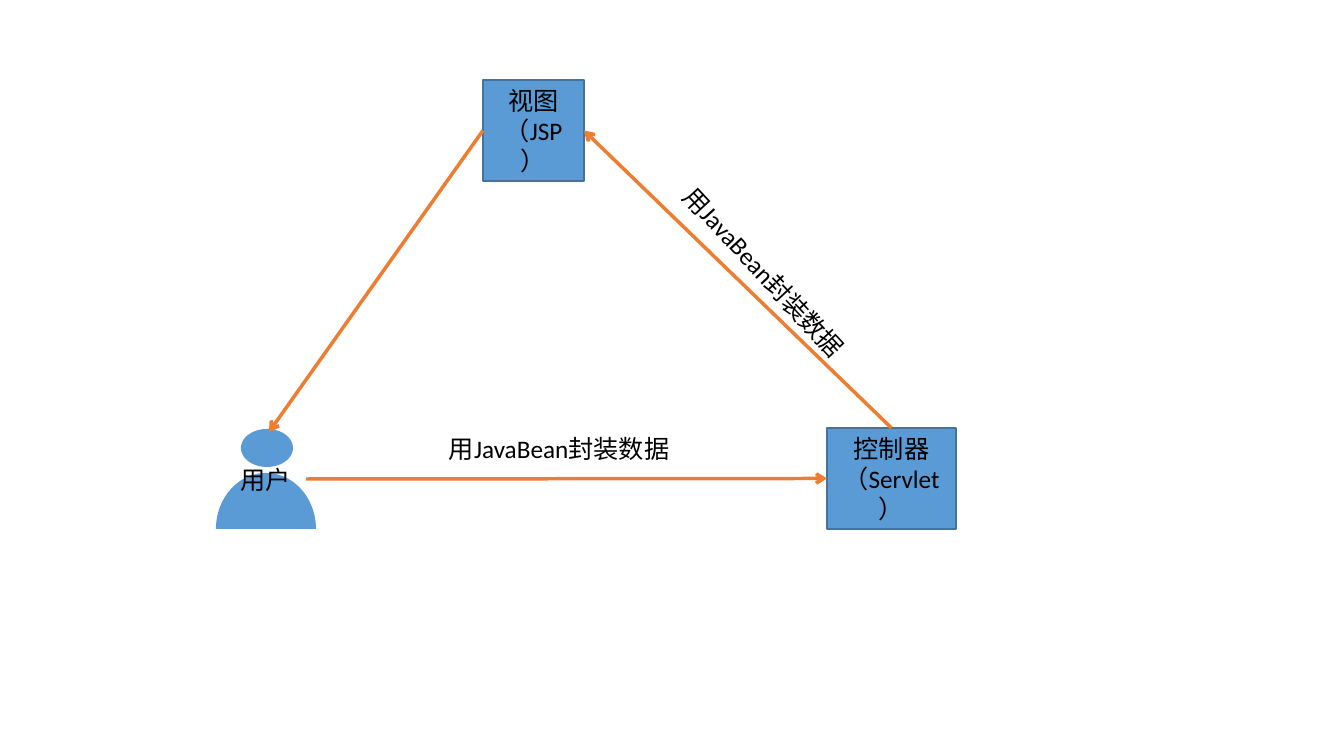
from math import cos, pi, sin

from lxml import etree
from pptx import Presentation
from pptx import util as u
from pptx.dml.color import RGBColor
from pptx.enum import shapes, text
from pptx.oxml.ns import qn

SLIDE = (1344, 756)
EMU_PER_PX = 914400 / 100.8
BLUE, BORDER, ORANGE, BLACK = "5B9BD5", "43739E", "ED7D31", "000000"
FONT = {"name": "Calibri", "size": u.Pt(18)}

USER = "用户"
BODY = {"centre": (266, 529), "radii": (50, 56), "sweep": (pi, 2 * pi)}
HEAD = {"centre": (267, 448), "radii": (26, 19), "sweep": (0, 2 * pi)}
BOXES = {
    "view": ("视图（JSP）", (483, 80, 101, 101)),
    "controller": ("控制器（Servlet）", (827, 428, 129, 101)),
}
LABELS = [
    ("用JavaBean封装数据", (439, 428, 254, 40), 0),
    ("用JavaBean封装数据", (642, 257, 254, 40), 47),
]
TOP, LEFT, RIGHT = 0, 1, 3
ARROWS = [
    ((306, 479), ("controller", LEFT)),
    (("controller", TOP), ("view", RIGHT)),
    (("view", LEFT), (269, 432)),
]


def px(*values):
    return [u.Emu(round(v * EMU_PER_PX)) for v in values]


def rgb(value):
    return RGBColor.from_string(value)


def write(sp, words, align=None):
    tf = sp.text_frame
    tf.word_wrap = True
    p = tf.paragraphs[0]
    p.alignment = align
    r = p.add_run()
    r.text = words
    for key, value in FONT.items():
        setattr(r.font, key, value)
    r.font.color.rgb = rgb(BLACK)


def paint(sp, words, border=None):
    sp.shadow.inherit = False
    sp.fill.solid()
    sp.fill.fore_color.rgb = rgb(BLUE)
    if border:
        sp.line.color.rgb = rgb(border)
        sp.line.width = u.Pt(1)
    else:
        sp.line.fill.background()
    sp.text_frame.vertical_anchor = text.MSO_ANCHOR.MIDDLE
    write(sp, words, text.PP_ALIGN.CENTER)


def arc(centre, radii, sweep, steps=72):
    (cx, cy), (rx, ry), (start, end) = centre, radii, sweep
    angles = [start + (end - start) * i / steps for i in range(steps + 1)]
    return [px(cx + rx * cos(a), cy + ry * sin(a)) for a in angles]


def add_user(s):
    body, head = arc(**BODY), arc(**HEAD)
    outline = s.shapes.build_freeform(*body[0])
    outline.add_line_segments(body[1:])
    outline.move_to(*head[0])
    outline.add_line_segments(head[1:])
    paint(outline.convert_to_shape(), USER)


def add_arrow(s, start, end, boxes):
    c = s.shapes.add_connector(shapes.MSO_CONNECTOR.STRAIGHT, 0, 0, 0, 0)
    if start[0] in boxes:
        c.begin_connect(boxes[start[0]], start[1])
    else:
        c.begin_x, c.begin_y = px(*start)
    if end[0] in boxes:
        c.end_connect(boxes[end[0]], end[1])
    else:
        c.end_x, c.end_y = px(*end)
    c.line.color.rgb = rgb(ORANGE)
    c.line.width = u.Pt(2.5)
    etree.SubElement(c.line._get_or_add_ln(), qn("a:tailEnd"), type="arrow")
    etree.SubElement(c._element.spPr, qn("a:effectLst"))


def main():
    prs = Presentation()
    prs.slide_width, prs.slide_height = px(*SLIDE)
    s = prs.slides.add_slide(prs.slide_layouts[6])
    add_user(s)
    boxes = {}
    for name, (words, place) in BOXES.items():
        boxes[name] = s.shapes.add_shape(shapes.MSO_SHAPE.RECTANGLE, *px(*place))
        paint(boxes[name], words, BORDER)
    for start, end in ARROWS:
        add_arrow(s, start, end, boxes)
    for words, place, angle in LABELS:
        label = s.shapes.add_textbox(*px(*place))
        label.rotation = angle
        write(label, words)
    prs.save("out.pptx")


if __name__ == "__main__":
    main()
